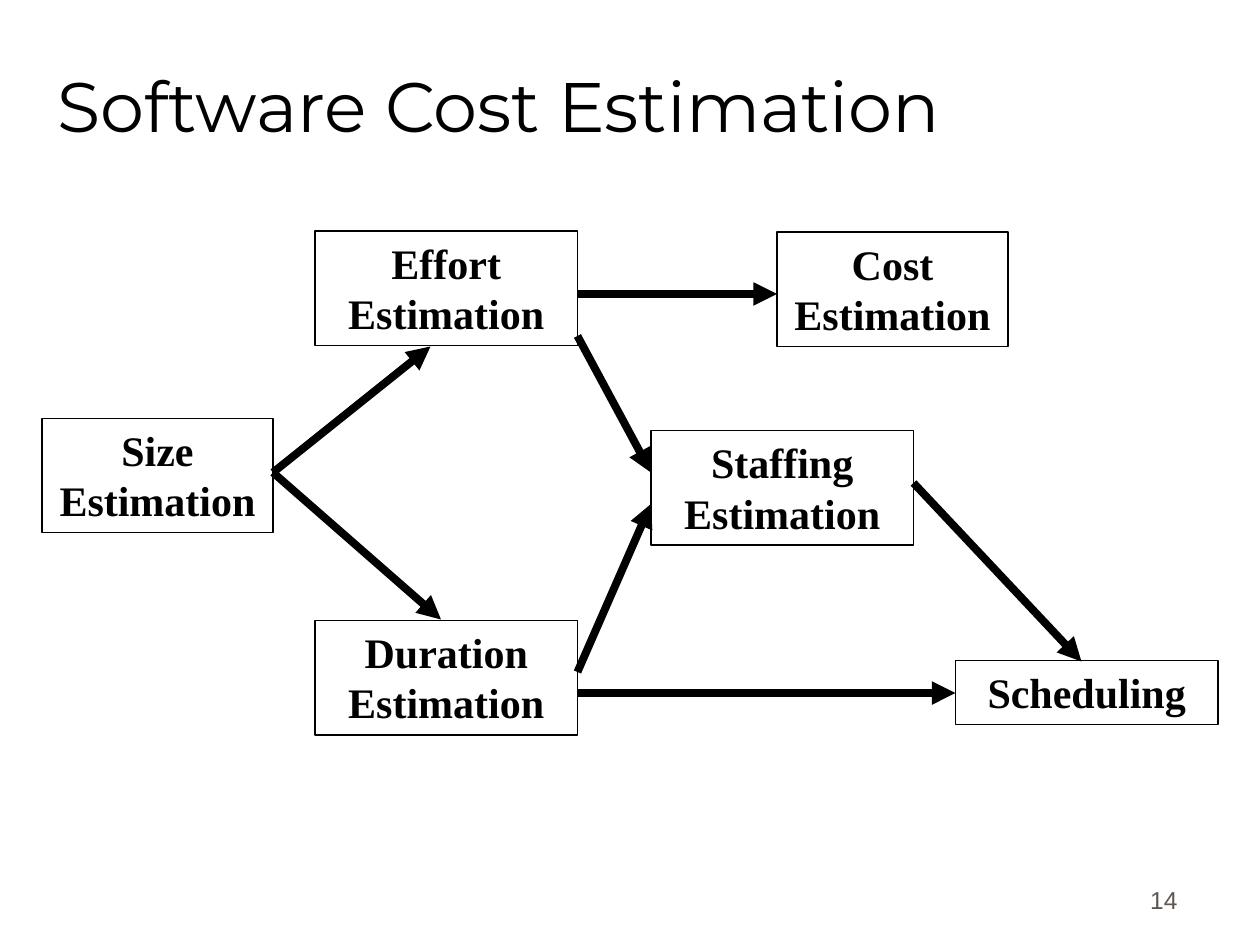
"""Build the software cost estimation flow slide."""
from pptx import Presentation
from pptx.dml.color import RGBColor
from pptx.enum.shapes import MSO_CONNECTOR, MSO_SHAPE
from pptx.enum.text import MSO_ANCHOR, MSO_AUTO_SIZE, PP_ALIGN
from pptx.oxml.ns import qn
from pptx.util import Pt
from lxml.etree import SubElement

BLACK = RGBColor(0x00, 0x00, 0x00)
GREY = RGBColor(0x5E, 0x57, 0x4E)
NARROW, WIDE = 132, 150
TALL, SHORT = 65.5, 36.5

STEPS = [
    ("Size Estimation", 24, 239, NARROW, TALL),
    ("Effort Estimation", 180, 132, WIDE, TALL),
    ("Cost Estimation", 444, 132.5, NARROW, TALL),
    ("Duration Estimation", 180, 354.5, WIDE, TALL),
    ("Staffing Estimation", 372, 246, WIDE, TALL),
    ("Scheduling", 546, 377.5, WIDE, SHORT),
]
ARROWS = [
    (156, 270, 246, 198),
    (156, 270, 252, 354),
    (330, 168, 444, 168),
    (330, 192, 372, 270),
    (330, 384, 372, 288),
    (330, 396, 546, 396),
    (522, 276, 618, 378),
]


def write(shape, text, font_name, size, color, align, anchor, bold=False):
    frame = shape.text_frame
    frame.word_wrap = True
    frame.auto_size = MSO_AUTO_SIZE.NONE
    frame.vertical_anchor = anchor
    paragraph = frame.paragraphs[0]
    paragraph.text = text
    paragraph.alignment = align
    paragraph.space_before = Pt(0)
    paragraph.font.name = font_name
    paragraph.font.size = Pt(size)
    paragraph.font.bold = bold
    paragraph.font.color.rgb = color


deck = Presentation()
deck.slide_width, deck.slide_height = Pt(720), Pt(540)
page = deck.slides.add_slide(deck.slide_layouts[5])

title = page.shapes.title
title.left, title.top, title.width, title.height = Pt(31.5), Pt(14.5), Pt(612), Pt(90)
write(title, "Software Cost Estimation", "Montserrat", 40, BLACK,
      PP_ALIGN.LEFT, MSO_ANCHOR.MIDDLE)
title.text_frame.margin_left = title.text_frame.margin_right = Pt(1.5)

page_number = page.shapes.add_textbox(Pt(530), Pt(490), Pt(150), Pt(36))
write(page_number, "14", "Arial", 14, GREY, PP_ALIGN.RIGHT, MSO_ANCHOR.BOTTOM)

for label, left, top, width, height in STEPS:
    box = page.shapes.add_shape(
        MSO_SHAPE.RECTANGLE, Pt(left), Pt(top), Pt(width), Pt(height))
    box.shadow.inherit = False
    box.fill.background()
    box.line.color.rgb = BLACK
    box.line.width = Pt(0.75)
    write(box, label, "Times New Roman", 24, BLACK,
          PP_ALIGN.CENTER, MSO_ANCHOR.TOP, bold=True)

for ends in ARROWS:
    arrow = page.shapes.add_connector(MSO_CONNECTOR.STRAIGHT, *map(Pt, ends))
    arrow.line.color.rgb = BLACK
    arrow.line.width = Pt(4.5)
    SubElement(arrow.line._get_or_add_ln(), qn("a:tailEnd"), type="triangle")
    SubElement(arrow._element.spPr, qn("a:effectLst"))

deck.save("out.pptx")
